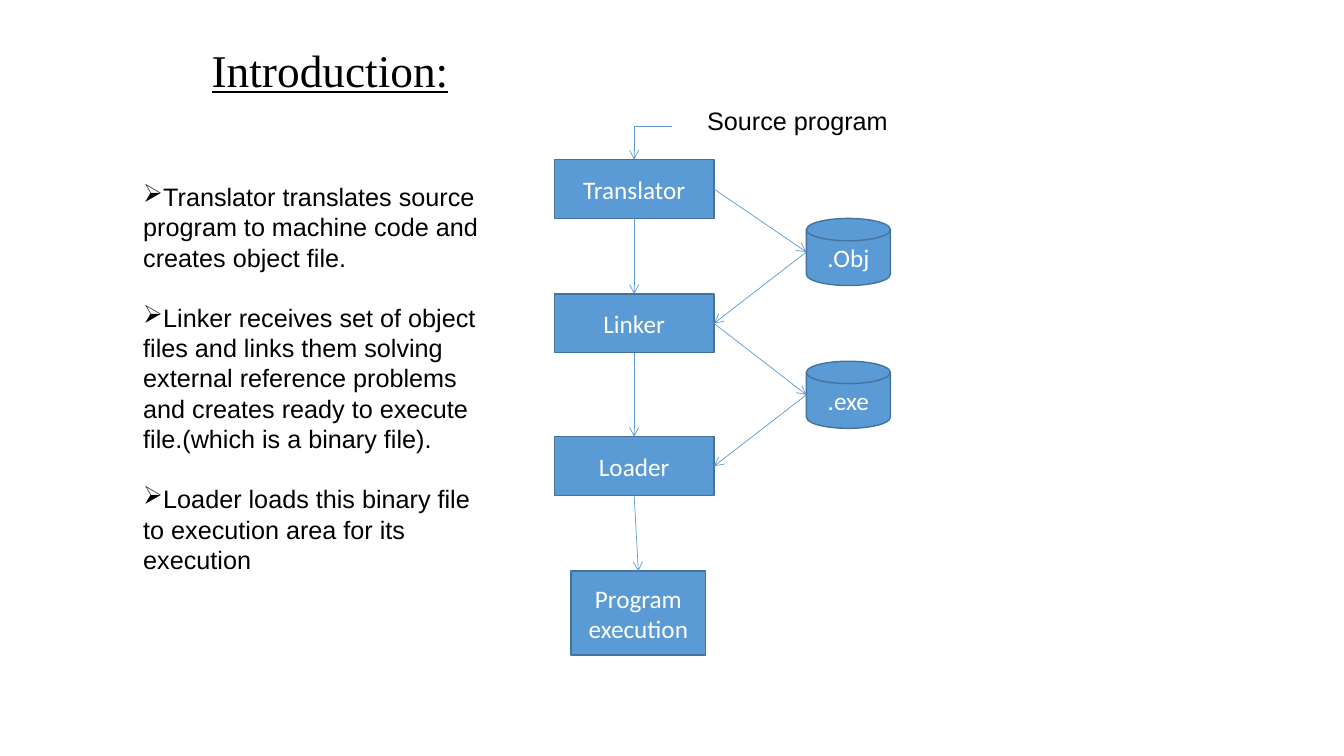
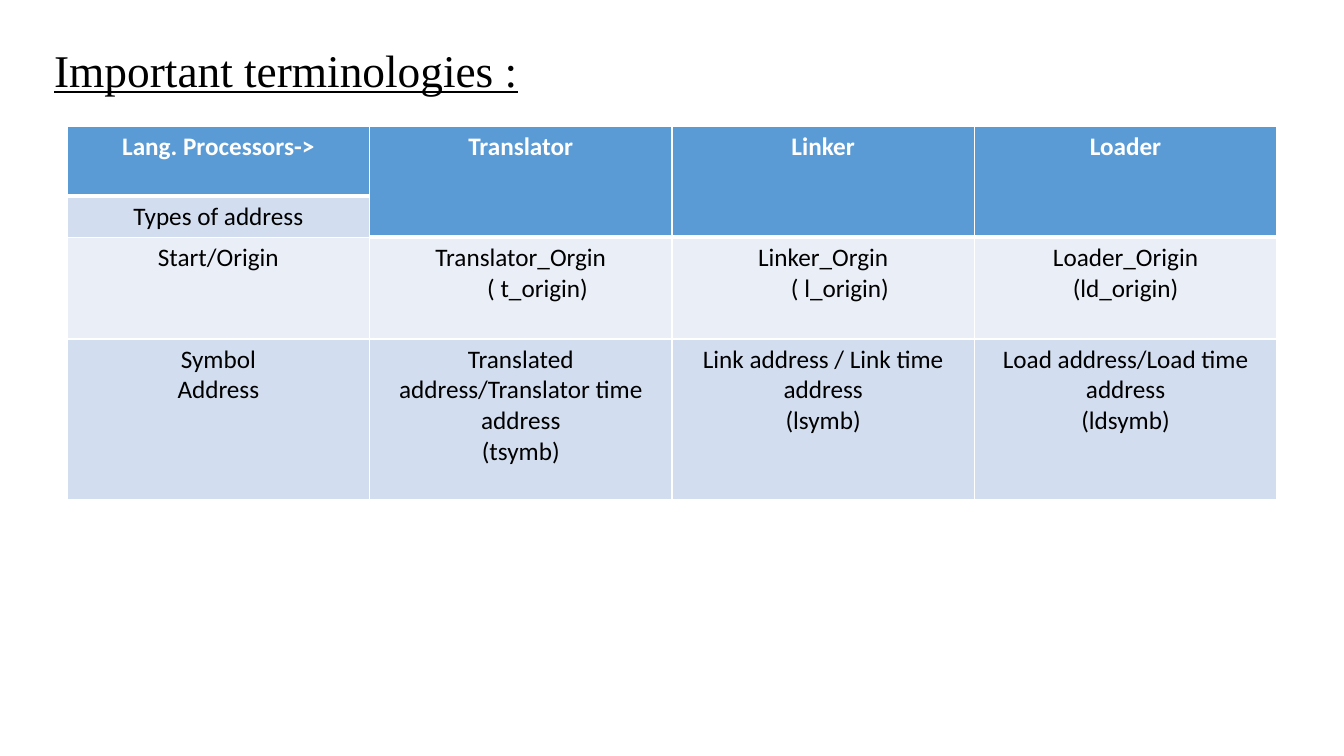
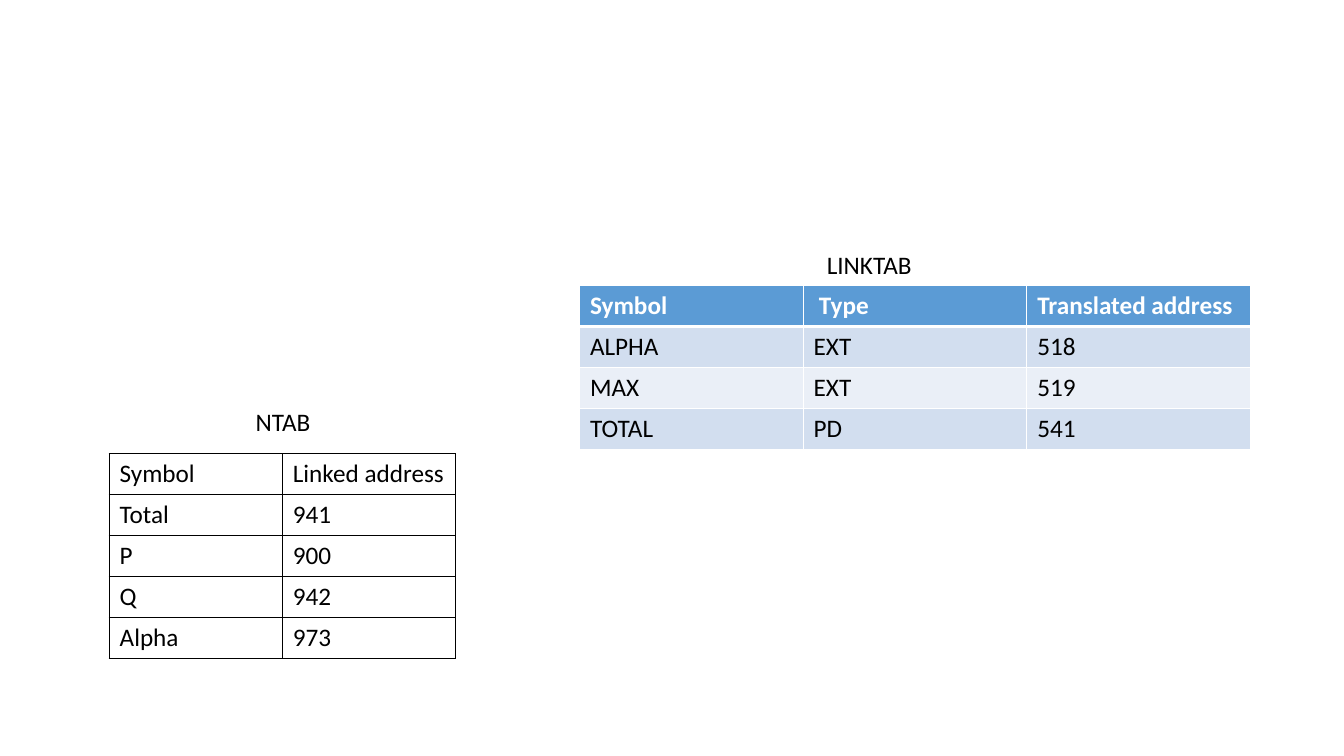
from lxml import etree
from pptx import Presentation
from pptx.dml.color import RGBColor
from pptx.enum.shapes import MSO_CONNECTOR, MSO_SHAPE
from pptx.enum.text import MSO_ANCHOR, MSO_AUTO_SIZE, PP_ALIGN
from pptx.oxml.ns import qn
from pptx.util import Pt

PX = 9525
BLACK, WHITE = "000000", "FFFFFF"
BLUE, DARK_BLUE = "5B9BD5", "43739E"
BANDS = ("EAEFF7", "D2DEEF")
TITLE_ONLY, BLANK = 5, 6


def write(frame, text, font="Calibri", size=18, color=BLACK, bold=False,
          align=PP_ALIGN.LEFT):
    """Fill a text frame, one paragraph per line of text."""
    frame.text = text
    for paragraph in frame.paragraphs:
        paragraph.alignment = align
        paragraph.font.name = font
        paragraph.font.size = Pt(size)
        paragraph.font.bold = bold
        paragraph.font.color.rgb = RGBColor.from_string(color)


def add_grid(slide, left, top, widths, heights, rows, banded=True,
             merged_columns=(), margin=10, align=PP_ALIGN.LEFT):
    """Add a table; merged columns join their first two rows."""
    table = slide.shapes.add_table(
        len(rows), len(widths), left * PX, top * PX,
        sum(widths) * PX, sum(heights) * PX).table
    table.first_row = table.horz_banding = banded
    for column, width in zip(table.columns, widths):
        column.width = width * PX
    for row, height in zip(table.rows, heights):
        row.height = height * PX
    for c in merged_columns:
        table.cell(0, c).merge(table.cell(1, c))

    for r, texts in enumerate(rows):
        for c, text in enumerate(texts):
            cell = table.cell(r, c)
            last_header_row = 1 if c in merged_columns else 0
            header = banded and r <= last_header_row
            below_header = banded and r == last_header_row + 1
            edges = {"lnL": 1, "lnR": 1, "lnT": 3 if below_header else 1,
                     "lnB": 3 if header else 1}
            cell_properties = cell._tc.get_or_add_tcPr()
            for edge, points in edges.items():
                line = etree.SubElement(cell_properties, qn(f"a:{edge}"), w=str(Pt(points)))
                fill = etree.SubElement(line, qn("a:solidFill"))
                etree.SubElement(fill, qn("a:srgbClr"), val=WHITE if banded else BLACK)
            if banded:
                cell.fill.solid()
                cell.fill.fore_color.rgb = RGBColor.from_string(BLUE if header else BANDS[r % 2])
            else:
                cell.fill.background()
            cell.margin_left = cell.margin_right = margin * PX
            if text:
                write(cell.text_frame, text, color=WHITE if header else BLACK,
                      bold=header, align=align)
    return table


prs = Presentation()
prs.slide_width, prs.slide_height = 1280 * PX, 720 * PX
intro = prs.slides.add_slide(prs.slide_layouts[TITLE_ONLY])
terms = prs.slides.add_slide(prs.slide_layouts[TITLE_ONLY])
tables = prs.slides.add_slide(prs.slide_layouts[BLANK])

for slide, heading, left, width in (
        (intro, "Introduction:", 192, 864),
        (terms, "Important terminologies :", 42, 1152)):
    title = slide.shapes.title
    title.left, title.top, title.width, title.height = (
        left * PX, 40 * PX, width * PX, 58 * PX)
    title.text_frame.auto_size = MSO_AUTO_SIZE.NONE
    title.text_frame.vertical_anchor = MSO_ANCHOR.MIDDLE
    write(title.text_frame, heading, "Times New Roman", 32.4)
    title.text_frame.paragraphs[0].font.underline = True
    title.text_frame.paragraphs[0].line_spacing = 0.9

# Introduction: flow of a program from source to execution
stages = {}
for label, kind, left, top, width, height in (
        ("Translator", MSO_SHAPE.RECTANGLE, 528, 152, 152, 56),
        ("Linker", MSO_SHAPE.RECTANGLE, 528, 280, 152, 56),
        ("Loader", MSO_SHAPE.RECTANGLE, 528, 416, 152, 56),
        ("Program execution", MSO_SHAPE.RECTANGLE, 544, 544, 128, 80),
        (".Obj", MSO_SHAPE.FLOWCHART_MAGNETIC_DISK, 768, 208, 80, 64),
        (".exe", MSO_SHAPE.FLOWCHART_MAGNETIC_DISK, 768, 344, 80, 64)):
    stage = intro.shapes.add_shape(kind, left * PX, top * PX, width * PX, height * PX)
    stage.shadow.inherit = False
    stage.fill.solid()
    stage.fill.fore_color.rgb = RGBColor.from_string(BLUE)
    stage.line.color.rgb = RGBColor.from_string(DARK_BLUE)
    stage.line.width = Pt(1)
    write(stage.text_frame, label, color=WHITE, align=PP_ALIGN.CENTER)
    stages[label] = stage

TOP, BOTTOM, RIGHT = 0, 2, 3
OBJ_SIDE, EXE_SIDE, SOURCE = (768, 240), (768, 376), (640, 120)
# Each end is a point, or a stage with one of its sides
for start, end in (
        (("Translator", BOTTOM), ("Linker", TOP)),
        (("Linker", BOTTOM), ("Loader", TOP)),
        (("Loader", BOTTOM), ("Program execution", TOP)),
        (("Translator", RIGHT), OBJ_SIDE),
        (OBJ_SIDE, ("Linker", RIGHT)),
        (("Linker", RIGHT), EXE_SIDE),
        (EXE_SIDE, ("Loader", RIGHT)),
        (SOURCE, ("Translator", TOP))):
    bent = start == SOURCE
    begin_x, begin_y = (0, 0) if start[0] in stages else start
    end_x, end_y = (0, 0) if end[0] in stages else end
    arrow = intro.shapes.add_connector(
        MSO_CONNECTOR.ELBOW if bent else MSO_CONNECTOR.STRAIGHT,
        begin_x * PX, begin_y * PX, end_x * PX, end_y * PX)
    if start[0] in stages:
        arrow.begin_connect(stages[start[0]], start[1])
    if end[0] in stages:
        arrow.end_connect(stages[end[0]], end[1])
    arrow.line.color.rgb = RGBColor.from_string(BLUE)
    arrow.line.width = Pt(0.5)
    etree.SubElement(arrow.line._get_or_add_ln(), qn("a:tailEnd"), type="arrow")
    arrow_properties = arrow._element.spPr
    etree.SubElement(arrow_properties, qn("a:effectLst"))
    if bent:
        arrow_properties.find(qn("a:prstGeom")).set("prst", "bentConnector2")

explanation = "\n".join((
    "Translator translates source program to machine code and creates object file.",
    "Linker receives set of object files and links them solving external reference "
    "problems and creates ready to execute file.(which is a binary file).",
    "Loader loads this binary file to execution area for its execution"))
for slide, text, font, left, top, width, height, wrap in (
        (intro, "Source program", "Arial", 664, 96, 304, 38, True),
        (intro, explanation, "Arial", 127, 168, 353, 388, True),
        (tables, "LINKTAB", "Calibri", 778, 233, 257, 38, True),
        (tables, "NTAB", "Calibri", 234, 382, 72, 38, False)):
    box = slide.shapes.add_textbox(left * PX, top * PX, width * PX, height * PX)
    box.text_frame.word_wrap = wrap
    if text == explanation:
        box.text_frame.text = text
        for paragraph in box.text_frame.paragraphs:
            properties = paragraph._p.get_or_add_pPr()
            properties.set("marL", "0")
            properties.set("indent", "0")
            etree.SubElement(properties, qn("a:buChar"), char="➢")
            paragraph.line_spacing = paragraph.space_after = Pt(21.6)
        for paragraph in box.text_frame.paragraphs:
            paragraph.font.name = font
            paragraph.font.size = Pt(18)
            paragraph.font.color.rgb = RGBColor.from_string(BLACK)
    else:
        write(box.text_frame, text, font)

# Important terminologies
term_grid = add_grid(
    terms, 64, 120, [288] * 4, [67, 39, 97, 153],
    [("Lang. Processors->", "Translator", "Linker", "Loader"),
     ("Types of address", "", "", ""),
     ("Start/Origin", "Translator_Orgin\n( t_origin)", "Linker_Orgin\n( l_origin)",
      "Loader_Origin\n(ld_origin)"),
     ("Symbol\nAddress", "Translated address/Translator time address\n(tsymb)",
      "Link address / Link time address\n(lsymb)",
      "Load address/Load time address\n(ldsymb)")],
    merged_columns=(1, 2, 3), margin=12, align=PP_ALIGN.CENTER)
for c in (1, 2):
    short_name = term_grid.cell(2, c).text_frame.paragraphs[1]
    short_name._p.get_or_add_pPr().set("marL", str(32 * PX))

# Symbol tables
add_grid(tables, 104, 432, [165] * 2, [39] * 5,
         [("Symbol", "Linked address"), ("Total", "941"), ("P", "900"),
          ("Q", "942"), ("Alpha", "973")], banded=False)
link_grid = add_grid(tables, 552, 272, [213] * 3, [39] * 4,
                     [("Symbol", "Type", "Translated address"), ("ALPHA", "EXT", "518"),
                      ("MAX", "EXT", "519"), ("TOTAL", "PD", "541")])
link_grid.cell(0, 1).margin_left = 15 * PX

prs.save("out.pptx")
